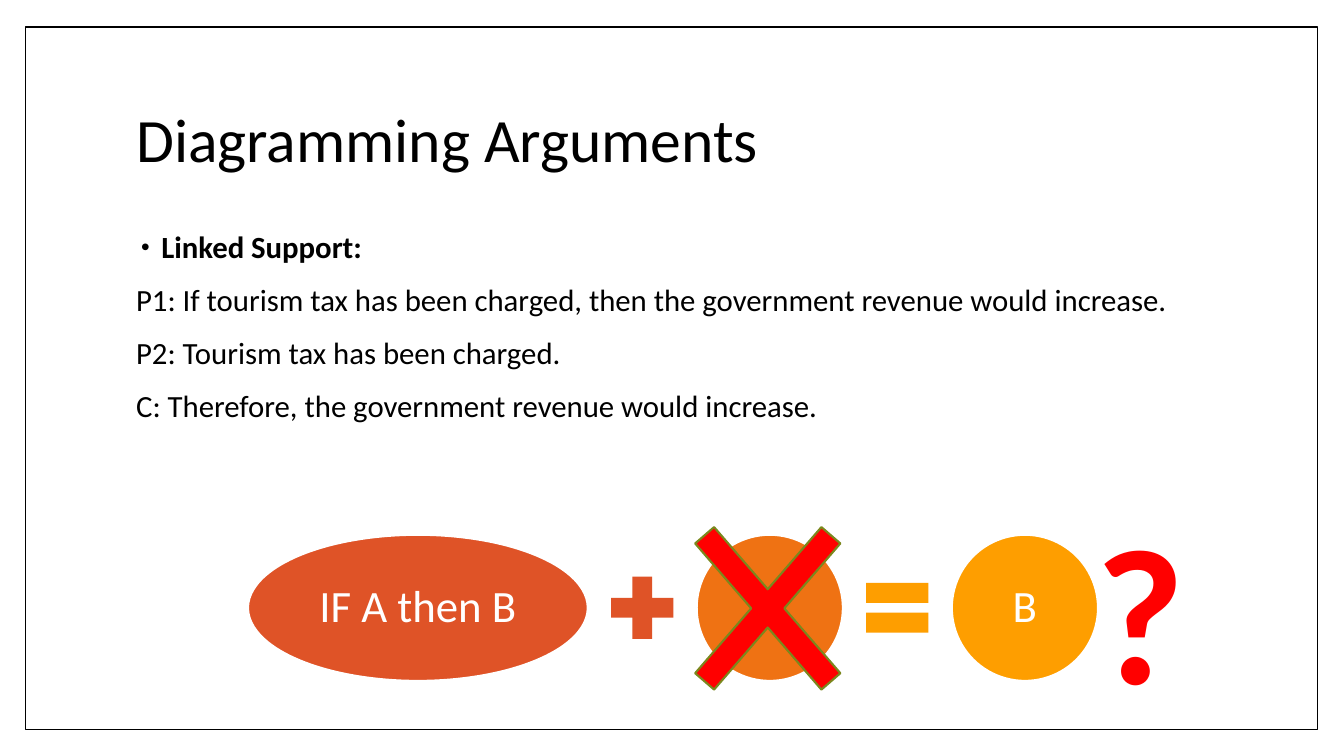
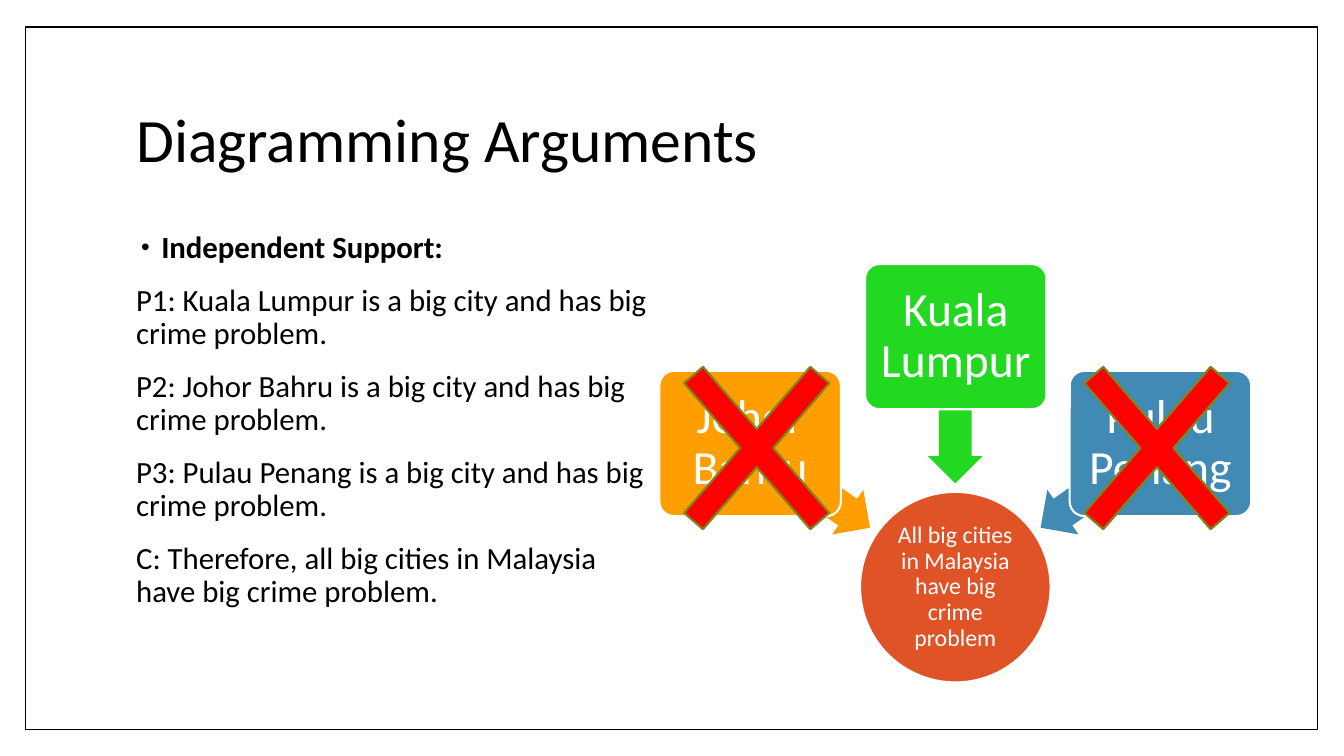
from lxml import etree
from pptx import Presentation
from pptx.dml.color import RGBColor
from pptx.enum import shapes, text
from pptx.oxml.ns import qn
from pptx.util import Inches, Pt

FONT = "Calibri"
TITLE = "Diagramming Arguments"
COLORS = {
    "black": "000000", "white": "FFFFFF", "red": "FF0000", "olive": "7B871D",
    "rust": "DF5327", "orange": "EF7213", "amber": "FE9E00",
    "green": "23D821", "blue": "418AB3",
}
KIND = shapes.MSO_SHAPE


def rgb(name):
    return RGBColor.from_string(COLORS[name])


def place(s, left, top, width, height):
    s.left, s.top, s.width, s.height = map(Inches, (left, top, width, height))


def add_run(p, content, size, color, bold=False):
    r = p.add_run()
    r.text = content
    r.font.name = FONT
    r.font.size = Pt(size)
    r.font.bold = bold
    r.font.color.rgb = rgb(color)


def add_shape(s, kind, box, fill, line=None, line_width=1.5, adj=()):
    sp = s.shapes.add_shape(kind, *map(Inches, box))
    sp.shadow.inherit = False
    sp.fill.solid()
    sp.fill.fore_color.rgb = rgb(fill)
    if line:
        sp.line.color.rgb = rgb(line)
        sp.line.width = Pt(line_width)
    else:
        sp.line.fill.background()
    for i, value in enumerate(adj):
        sp.adjustments[i] = value
    return sp


def add_node(s, kind, box, fill, label, size, inset, adj=()):
    sp = add_shape(s, kind, box, fill, "white", adj=adj)
    tf = sp.text_frame
    tf.word_wrap = True
    tf.vertical_anchor = text.MSO_ANCHOR.MIDDLE
    tf.margin_left = tf.margin_right = Inches(inset)
    tf.margin_top = tf.margin_bottom = Inches(inset)
    p = tf.paragraphs[0]
    p.alignment = text.PP_ALIGN.CENTER
    p.line_spacing = 0.9
    add_run(p, label, size, "white")


def add_cross(s, left, top):
    add_shape(s, KIND.MATH_MULTIPLY, (left, top, 2.41, 2.79), "red", "olive", adj=[0.103])


def set_bullet(p, shown):
    pPr = p._p.get_or_add_pPr()
    pPr.set("marL", str(Inches(0.25 if shown else 0)))
    pPr.set("indent", str(Inches(-0.2 if shown else 0)))
    if not shown:
        etree.SubElement(pPr, qn("a:buNone"))
        return
    color = etree.SubElement(pPr, qn("a:buClr"))
    etree.SubElement(color, qn("a:srgbClr"), val=COLORS["black"])
    etree.SubElement(pPr, qn("a:buSzPct"), val="80000")
    etree.SubElement(pPr, qn("a:buFont"), typeface="Arial")
    etree.SubElement(pPr, qn("a:buChar"), char="•")


def add_slide(prs, heading, statements, body_width):
    s = prs.slides.add_slide(prs.slide_layouts[1])
    title, body = s.placeholders
    place(title, 1.25, 0.67, 10.8, 1.48)
    place(body, 1.25, 2.25, body_width, 4.42)
    for sp in (title, body):
        sp.text_frame.word_wrap = True
        sp.text_frame.auto_size = text.MSO_AUTO_SIZE.NONE
    title.text_frame.vertical_anchor = text.MSO_ANCHOR.MIDDLE
    p = title.text_frame.paragraphs[0]
    p.alignment = text.PP_ALIGN.LEFT
    p.line_spacing = 0.9
    add_run(p, TITLE, 44, "black")

    tf = body.text_frame
    for i, line in enumerate([heading, *statements]):
        p = tf.add_paragraph() if i else tf.paragraphs[0]
        p.line_spacing = 0.9
        p.space_before = Pt(14)
        set_bullet(p, i == 0)
        add_run(p, line, 22, "black", bold=i == 0)
    return s


def add_master_frame(prs, s):
    frame = add_shape(s, KIND.RECTANGLE, (0.25, 0.27, 12.82, 6.97), "white", "black", 1)
    prs.slide_master.shapes._spTree.insert(2, frame._element)


def add_equation(s):
    parts = [
        (KIND.OVAL, 3.37, 1.45, "rust", "IF A then B"),
        (KIND.MATH_PLUS, 0.84, 0.84, "rust", None),
        (KIND.OVAL, 1.45, 1.45, "orange", "A"),
        (KIND.MATH_EQUAL, 0.84, 0.84, "amber", None),
        (KIND.OVAL, 1.45, 1.45, "amber", "B"),
    ]
    left, middle, gap = 2.46, 6.03, 0.12
    for kind, width, height, fill, label in parts:
        box = (left, middle - height / 2, width, height)
        if label:
            add_node(s, kind, box, fill, label, 32, 0.04)
        else:
            add_shape(s, kind, box, fill)
        left += width + gap


def add_question_mark(s):
    sp = s.shapes.add_textbox(*map(Inches, (10.66, 4.82, 1.29, 2.42)))
    tf = sp.text_frame
    tf.word_wrap = False
    p = tf.paragraphs[0]
    p.alignment = text.PP_ALIGN.CENTER
    add_run(p, "?", 138, "red", bold=True)


def add_convergence(s):
    add_node(s, KIND.OVAL, (8.53, 4.88, 1.89, 1.89), "rust",
             "All big cities in Malaysia have big crime problem", 17, 0.01)
    cities = [
        ("Johor Bahru", "amber", 6.54, 3.68, 7.31, 4.55, 215),
        ("Kuala Lumpur", "green", 8.58, 2.62, 8.75, 3.8, 270),
        ("Pulau Penang", "blue", 10.61, 3.68, 10.19, 4.55, 325),
    ]
    for city, fill, left, top, arrow_left, arrow_top, angle in cities:
        arrow = add_shape(s, KIND.LEFT_ARROW, (arrow_left, arrow_top, 1.45, 0.54),
                          fill, adj=[0.6, 0.5])
        arrow.rotation = angle
        add_node(s, KIND.ROUNDED_RECTANGLE, (left, top, 1.8, 1.44), fill, city, 34, 0.07,
                 adj=[0.1])


def main():
    prs = Presentation()
    prs.slide_width, prs.slide_height = Inches(13.33), Inches(7.5)

    s = add_slide(prs, "Linked Support:", [
        "P1: If tourism tax has been charged, then the government revenue would increase.",
        "P2: Tourism tax has been charged.",
        "C: Therefore, the government revenue would increase.",
    ], 10.8)
    add_master_frame(prs, s)
    add_equation(s)
    add_cross(s, 6.41, 4.64)
    add_question_mark(s)

    s = add_slide(prs, "Independent Support:", [
        "P1: Kuala Lumpur is a big city and has big crime problem.",
        "P2: Johor Bahru is a big city and has big crime problem.",
        "P3: Pulau Penang is a big city and has big crime problem.",
        "C: Therefore, all big cities in Malaysia have big crime problem.",
    ], 5.31)
    add_convergence(s)
    for left in (6.3, 10.27):
        add_cross(s, left, 3.05)

    prs.save("out.pptx")


main()
